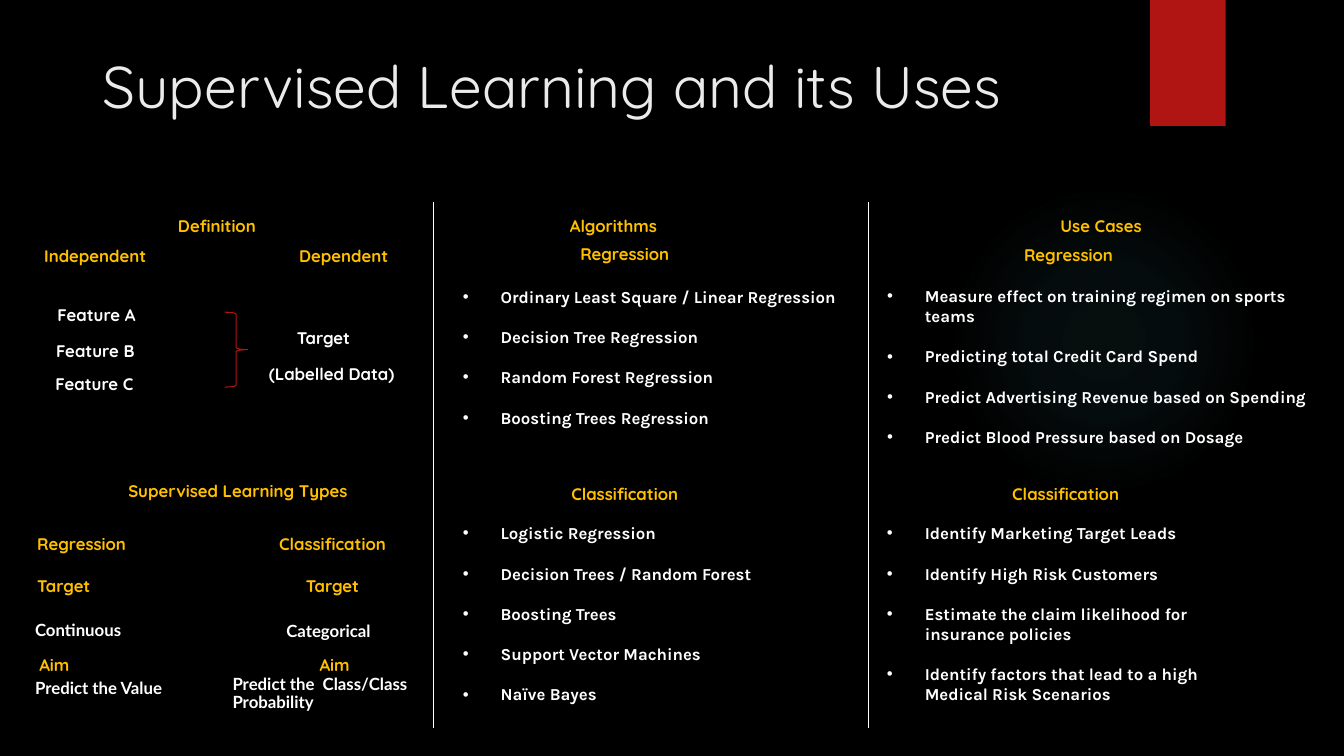
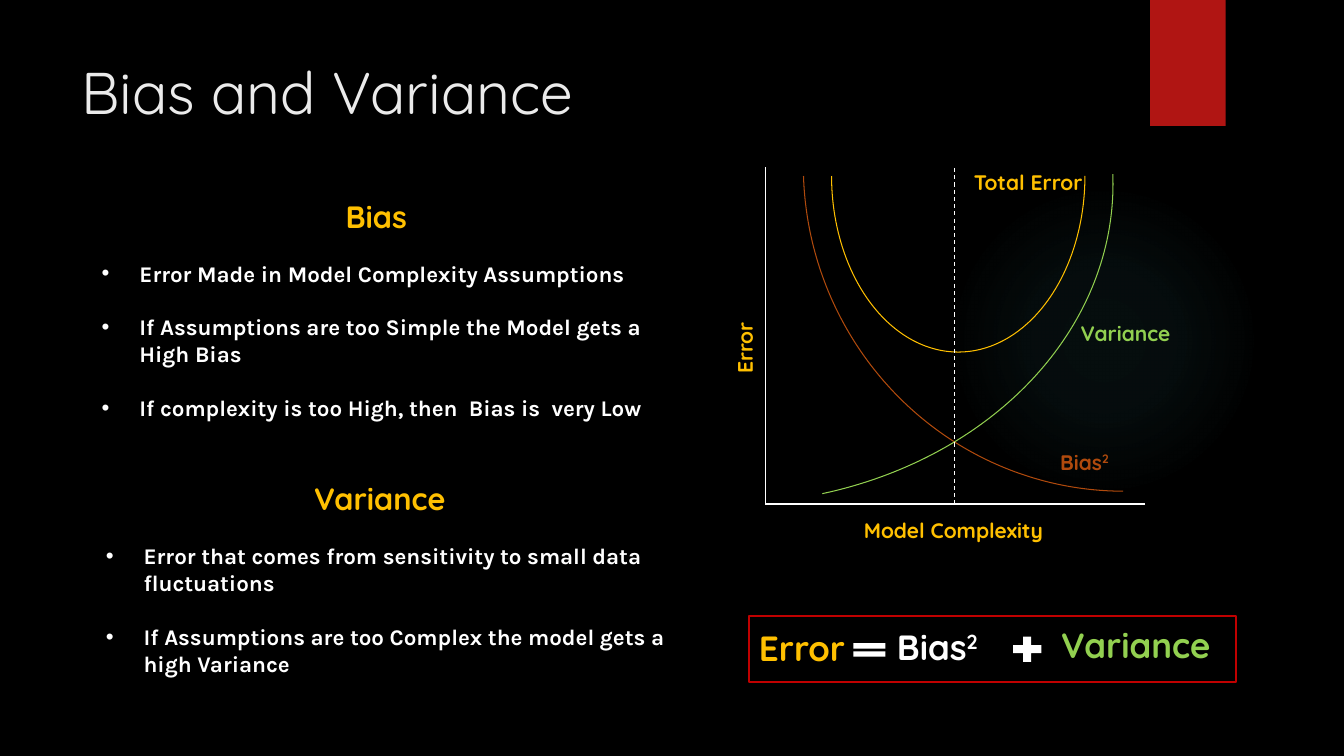
from dataclasses import dataclass

from lxml.etree import SubElement
from pptx import Presentation
from pptx.dml.color import RGBColor
from pptx.enum.dml import MSO_LINE
from pptx.enum.shapes import MSO_CONNECTOR, MSO_SHAPE
from pptx.enum.text import MSO_ANCHOR, MSO_AUTO_SIZE, PP_ALIGN
from pptx.oxml import parse_xml
from pptx.oxml.ns import nsdecls, qn
from pptx.slide import Slide
from pptx.text.text import TextFrame
from pptx.util import Pt

BLACK, WHITE, PALE = "000000", "FFFFFF", "EBEBEB"
GOLD, GREEN, RUST = "FFC000", "92D050", "B04A0D"
RED, FRAME, GLOW = "B01513", "C00000", "50B9C1"
HEAD, BODY, PLAIN = "Quicksand", "Karla", "Lato"
INDENT = 27


@dataclass
class Label:
    text: str
    x: float
    y: float
    w: float = 127
    mid: bool = False
    color: str = GOLD
    size: float = 12
    font: str = HEAD
    h: float = 49
    turn: float = 0
    power: str = ""


@dataclass
class Points:
    x: float
    y: float
    w: float
    h: float
    lines: list[str]
    size: float = 12


@dataclass
class Rule:
    x: float
    y: float
    end_x: float
    end_y: float
    dash: bool = False


@dataclass
class Form:
    kind: MSO_SHAPE
    x: float
    y: float
    w: float
    h: float
    fill: str = ""
    line: str = ""
    width: float = 0.75
    turn: float = 0
    bends: tuple[float, ...] = ()


def tint(code: str) -> RGBColor:
    return RGBColor.from_string(code)


def write(frame: TextFrame, lines: list[str], *, size: float, color: str,
          font: str = HEAD, bold: bool = True, mid: bool = False,
          pitch: float = 1.0, gap: float = 0, dot: bool = False,
          power: str = "") -> None:
    frame.word_wrap = True
    frame.auto_size = MSO_AUTO_SIZE.NONE
    for i, line in enumerate(lines):
        para = frame.add_paragraph() if i else frame.paragraphs[0]
        para.alignment = PP_ALIGN.CENTER if mid else PP_ALIGN.LEFT
        para.line_spacing = pitch
        para.space_before = Pt(gap if i else 0)
        if dot:
            props = para._p.get_or_add_pPr()
            props.set("marL", str(Pt(INDENT)))
            props.set("indent", str(-Pt(INDENT)))
            SubElement(props, qn("a:buFont")).set("typeface", "Arial")
            SubElement(props, qn("a:buChar")).set("char", "•")
        for part in filter(None, (line, power)):
            run = para.add_run()
            run.text = part
            run.font.size = Pt(size)
            run.font.name = font
            run.font.bold = bold
            run.font.color.rgb = tint(color)
        if power:
            run._r.get_or_add_rPr().set("baseline", "30000")


def add_label(slide: Slide, item: Label) -> None:
    box = slide.shapes.add_textbox(Pt(item.x), Pt(item.y), Pt(item.w), Pt(item.h))
    box.rotation = item.turn
    box.text_frame.vertical_anchor = MSO_ANCHOR.MIDDLE
    write(box.text_frame, [item.text], size=item.size, color=item.color,
          font=item.font, mid=item.mid, pitch=0.9, power=item.power)


def add_points(slide: Slide, item: Points) -> None:
    box = slide.shapes.add_textbox(Pt(item.x), Pt(item.y), Pt(item.w), Pt(item.h))
    write(box.text_frame, item.lines, size=item.size, color=WHITE,
          font=BODY, gap=1.2 * item.size, dot=True)


def add_rule(slide: Slide, item: Rule) -> None:
    line = slide.shapes.add_connector(MSO_CONNECTOR.STRAIGHT, Pt(item.x), Pt(item.y),
                                      Pt(item.end_x), Pt(item.end_y))
    line.line.color.rgb = tint(WHITE)
    line.line.width = Pt(0.75)
    if item.dash:
        line.line.dash_style = MSO_LINE.DASH
    SubElement(line._element.spPr, qn("a:effectLst"))


def add_form(slide: Slide, item: Form):
    shape = slide.shapes.add_shape(item.kind, Pt(item.x), Pt(item.y), Pt(item.w), Pt(item.h))
    shape.shadow.inherit = False
    shape.rotation = item.turn
    for i, bend in enumerate(item.bends):
        shape.adjustments[i] = bend
    if item.fill:
        shape.fill.solid()
        shape.fill.fore_color.rgb = tint(item.fill)
    else:
        shape.fill.background()
    if item.line:
        shape.line.color.rgb = tint(item.line)
        shape.line.width = Pt(item.width)
    else:
        shape.line.fill.background()
    return shape


def add_glow(slide: Slide) -> None:
    shape = add_form(slide, Form(MSO_SHAPE.OVAL, 677.5, 132, 222, 222))
    stops = "".join(
        f'<a:gs pos="{spot * 1000}"><a:srgbClr val="{GLOW}">'
        f'<a:alpha val="{alpha * 1000}"/></a:srgbClr></a:gs>'
        for spot, alpha in ((0, 7), (36, 6), (69, 0)))
    fill = parse_xml(
        f'<a:gradFill {nsdecls("a")} rotWithShape="1"><a:gsLst>{stops}</a:gsLst>'
        '<a:path path="circle"><a:fillToRect l="50000" t="50000" r="50000" b="50000"/>'
        '</a:path></a:gradFill>')
    props = shape._element.spPr
    props.replace(props.find(qn("a:noFill")), fill)


def add_page(deck, title: str, x: float, y: float, w: float, h: float) -> Slide:
    slide = deck.slides.add_slide(deck.slide_layouts[5])
    add_glow(slide)
    add_form(slide, Form(MSO_SHAPE.RECTANGLE, 821.5, 0, 54, 90, fill=RED))
    head = slide.shapes.title
    head.left, head.top, head.width, head.height = Pt(x), Pt(y), Pt(w), Pt(h)
    head.text_frame.vertical_anchor = MSO_ANCHOR.TOP
    write(head.text_frame, [title], size=42, color=PALE, bold=False)
    return slide


def fill_page(slide: Slide, items: list) -> None:
    tools = {Label: add_label, Points: add_points, Rule: add_rule, Form: add_form}
    for item in items:
        tools[type(item)](slide, item)


def add_uses(deck) -> None:
    slide = add_page(deck, "Supervised Learning and its Uses", 66, 32, 828, 104)
    items = [Rule(x, 144.5, x, 520) for x in (309.5, 620.5)]
    items += [
        Label("Definition", 120, 138, 120),
        Label("Algorithms", 400, 138, 180),
        Label("Use Cases", 639.5, 138, 294, mid=True),
        Label("Independent", 24.5, 159),
        Label("Dependent", 182, 159, mid=True),
        Label("Feature A", 34, 201, color=WHITE),
        Label("Feature B", 33, 227, color=WHITE),
        Label("Feature C", 32.5, 250.5, color=WHITE),
        Label("Target", 205, 218, 75, color=WHITE),
        Label("(Labelled Data)", 185, 243.5, 122, color=WHITE),
        Form(MSO_SHAPE.RIGHT_BRACE, 160.5, 223, 16.5, 53.5, line=RED),
        Label("Supervised Learning Types", 44.5, 327, 251, mid=True),
        Label("Continuous", 18, 426, color=WHITE, font=PLAIN),
        Label("Categorical", 197.5, 427, color=WHITE, font=PLAIN),
        Label("Predict the Value", 18, 468, color=WHITE, font=PLAIN),
        Label("Predict the  Class/Class Probability", 159, 471.5, 153.5,
              color=WHITE, font=PLAIN),
    ]
    for left, right, x, y in (("Regression", "Classification", 19.5, 365),
                              ("Target", "Target", 19.5, 394.5),
                              ("Aim", "Aim", 21, 451.5)):
        items += [Label(left, x, y), Label(right, x + 151, y, 134, mid=True)]
    for text, x, y in (("Regression", 324.5, 157.5), ("Classification", 324.5, 329),
                       ("Regression", 641.5, 158.5), ("Classification", 639.5, 329)):
        items.append(Label(text, x, y, 243.5, mid=True))
    items += [
        Points(323.5, 201, 295, 109, [
            "Ordinary Least Square / Linear Regression",
            "Decision Tree Regression",
            "Random Forest Regression",
            "Boosting Trees Regression"]),
        Points(323.5, 370, 284.5, 138, [
            "Logistic Regression",
            "Decision Trees / Random Forest",
            "Boosting Trees",
            "Support Vector Machines",
            "Naïve Bayes"]),
        Points(626.5, 200.5, 325, 109, [
            "Measure effect on training regimen on sports teams",
            "Predicting total Credit Card Spend",
            "Predict Advertising Revenue based on Spending",
            "Predict Blood Pressure based on Dosage"]),
        Points(626.5, 370, 274.5, 138, [
            "Identify Marketing Target Leads",
            "Identify High Risk Customers",
            "Estimate the claim likelihood for insurance policies",
            "Identify factors that lead to a high Medical Risk Scenarios"]),
    ]
    fill_page(slide, items)


def add_bias(deck) -> None:
    slide = add_page(deck, "Bias and Variance", 51, 36, 741, 110)
    fill_page(slide, [
        Label("Bias", 171.5, 137, 194.5, True, size=22, h=37.5),
        Points(65.5, 182, 418.5, 143, [
            "Error Made in Model Complexity Assumptions",
            "If Assumptions are too Simple the Model gets a High Bias",
            "If complexity is too High, then  Bias is  very Low"], 16),
        Label("Variance", 174, 338.5, 194.5, True, size=22, h=37.5),
        Points(68.5, 384, 418.5, 143, [
            "Error that comes from sensitivity to small data fluctuations",
            "If Assumptions are too Complex the model gets a high Variance"], 16),
        Label("Error", 469.5, 224, mid=True, size=15, turn=270),
        Form(MSO_SHAPE.ARC, 574, -111, 453, 462, line=RUST, turn=167.6,
             bends=(169.18, 6.58)),
        Form(MSO_SHAPE.ARC, 240, -97, 555, 457, line=GREEN, bends=(215.13, 43.48)),
        Form(MSO_SHAPE.ARC, 594, 0, 181, 251.5, line=GOLD, bends=(215.94, 108)),
        Rule(682, 120, 682, 360, dash=True),
        Rule(546.5, 119.5, 546.5, 360),
        Rule(818, 360, 546.5, 360),
        Label("Total Error", 671, 106.5, mid=True, size=15),
        Label("Variance", 763, 214.5, 82, True, GREEN, 15),
        Label("Bias", 733.5, 306.5, 82, True, RUST, 15, power="2"),
        Label("Model Complexity", 598.5, 355.5, 165, True, size=15),
        Label("Error", 535, 440, 82, size=25),
        Label("Bias", 628.5, 439, 82, True, WHITE, 25, power="2"),
        Label("Variance", 740, 438, 142.5, True, GREEN, 25),
        Form(MSO_SHAPE.MATH_PLUS, 720, 451.5, 27.5, 24.5, fill=WHITE),
        Form(MSO_SHAPE.MATH_EQUAL, 605.5, 456, 31, 16.5, fill=WHITE),
        Form(MSO_SHAPE.RECTANGLE, 535, 440, 348, 47, line=FRAME, width=1.5),
    ])


def main() -> None:
    deck = Presentation()
    deck.slide_width, deck.slide_height = Pt(960), Pt(540)
    back = deck.slide_master.background.fill
    back.solid()
    back.fore_color.rgb = tint(BLACK)
    add_uses(deck)
    add_bias(deck)
    deck.save("out.pptx")


if __name__ == "__main__":
    main()
